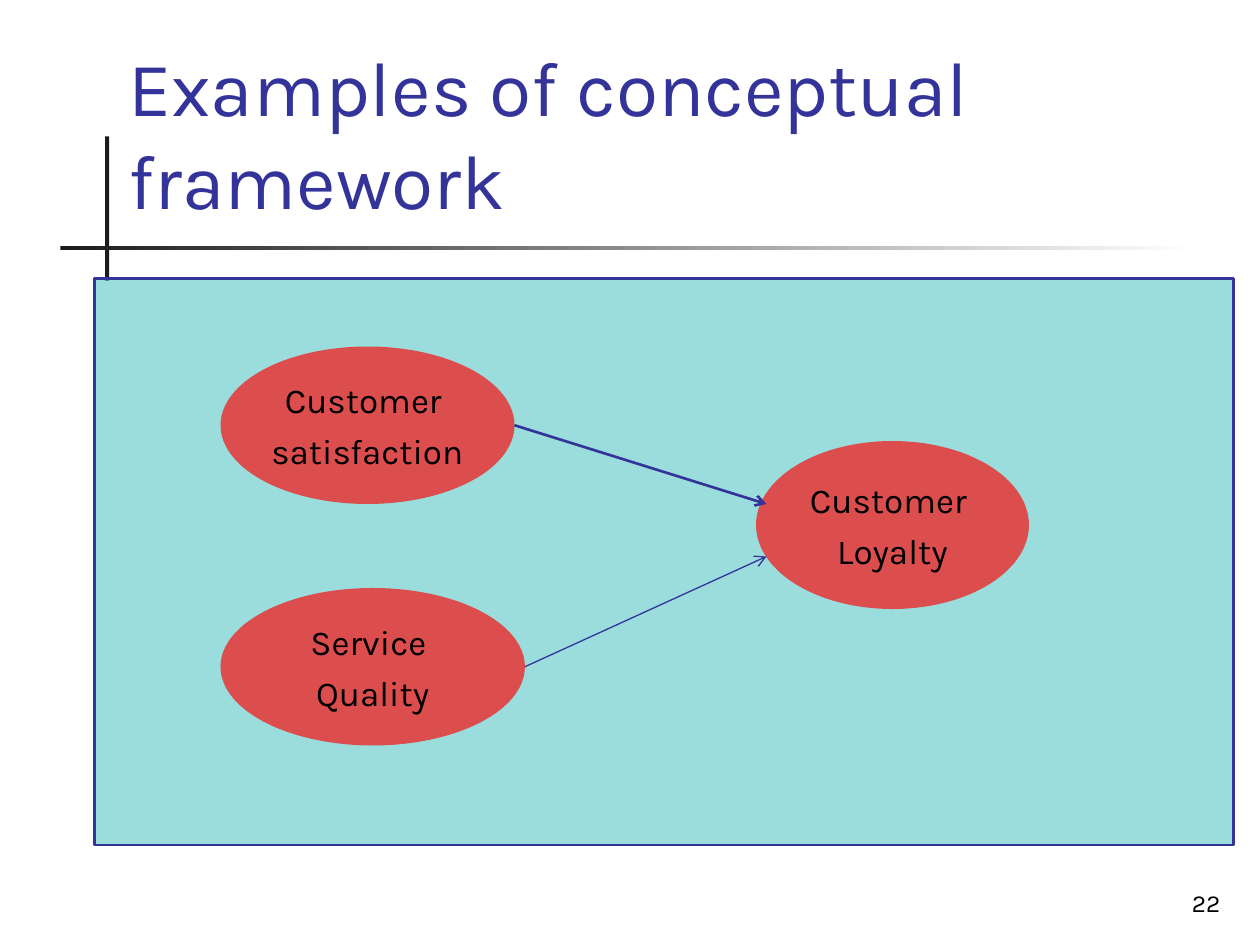
from lxml.etree import SubElement
from pptx import Presentation
from pptx.dml.color import RGBColor
from pptx.enum.shapes import MSO_CONNECTOR as Line, MSO_SHAPE as Shape
from pptx.enum.text import MSO_ANCHOR as Anchor, MSO_AUTO_SIZE as Fit, PP_ALIGN as Align
from pptx.oxml.ns import qn
from pptx.util import Inches, Pt

UNIT = Inches(1) / 12  # the slide is a grid of 120 columns by 90 rows
BLUE, BLACK, INK = "333399", "000000", "1C1C1C"


def grid(*cells):
    return [round(n * UNIT) for n in cells]


def paint(color, code, alpha=None):
    """Set a solid fill, line or font colour, with opacity in percent."""
    if hasattr(color, "solid"):
        color.solid()
        color = color.fore_color
    color.rgb = RGBColor.from_string(code)
    if alpha:
        node = color._xFill.find(qn("a:srgbClr"))
        SubElement(node, qn("a:alpha"), val=str(alpha * 1000))


deck = Presentation()
deck.slide_width, deck.slide_height = grid(120, 90)
slide = deck.slides.add_slide(deck.slide_layouts[5])
shapes = slide.shapes

# Crossed bars beside the title
for box in [(10, 13, 0.4, 13.75), (5.75, 23.4, 108, 0.4)]:
    bar = shapes.add_shape(Shape.RECTANGLE, *grid(*box))
    bar.shadow.inherit = False
    bar.line.fill.background()
    paint(bar.fill, INK)
bar.fill.gradient()
bar.fill.gradient_angle = 0
for stop, code, place in zip(bar.fill.gradient_stops, (INK, "FFFFFF"), (0, 1)):
    paint(stop.color, code)
    stop.position = place

# Title
title = shapes.title
title.left, title.top, title.width, title.height = grid(11, 2.75, 106.3, 19.25)
frame = title.text_frame
frame.text = "Examples of conceptual framework"
frame.auto_size = Fit.NONE
frame.vertical_anchor = Anchor.BOTTOM
para = frame.paragraphs[0]
para.alignment = Align.LEFT
para.font.size, para.font.name = Pt(44), "Karla"
paint(para.font.color, BLUE)

# Panel
panel = shapes.add_shape(Shape.RECTANGLE, *grid(9, 26.5, 108.5, 54))
panel.shadow.inherit = False
paint(panel.fill, "66CCCC", 65)
paint(panel.line.fill, BLUE)
panel.line.width = Pt(1.5)

# Page number
page = shapes.add_textbox(*grid(92.4, 82, 25, 6))
frame = page.text_frame
frame.word_wrap = True
frame.vertical_anchor = Anchor.BOTTOM
frame.text = "22"
para = frame.paragraphs[0]
para.alignment = Align.RIGHT
para.font.size, para.font.name = Pt(14), "Karla"
paint(para.font.color, BLACK)

# Concepts
concepts = [
    ("Customer \nsatisfaction", (21, 33, 28, 15)),
    ("Service \nQuality", (21, 56, 29, 15)),
    ("Customer \nLoyalty", (72, 42, 26, 16)),
]
for text, box in concepts:
    oval = shapes.add_shape(Shape.OVAL, *grid(*box))
    oval.shadow.inherit = False
    oval.line.fill.background()
    paint(oval.fill, "FF0000", 65)
    frame = oval.text_frame
    frame.word_wrap = False
    frame.vertical_anchor = Anchor.MIDDLE
    frame.text = text
    for row, para in enumerate(frame.paragraphs):
        para.alignment = Align.CENTER
        para.space_before = Pt(5 if row else 0)
        para.font.size, para.font.name = Pt(20), "Karla"
        paint(para.font.color, BLACK)

# Arrows to loyalty
for ends, width in [((49, 40.5, 73, 48), 1.5), ((50, 63.5, 73, 53), 0.75)]:
    arrow = shapes.add_connector(Line.STRAIGHT, *grid(*ends))
    paint(arrow.line.fill, BLUE)
    arrow.line.width = Pt(width)
    SubElement(arrow.line._get_or_add_ln(), qn("a:tailEnd"), type="arrow")
    SubElement(arrow._element.spPr, qn("a:effectLst"))

deck.save("out.pptx")
